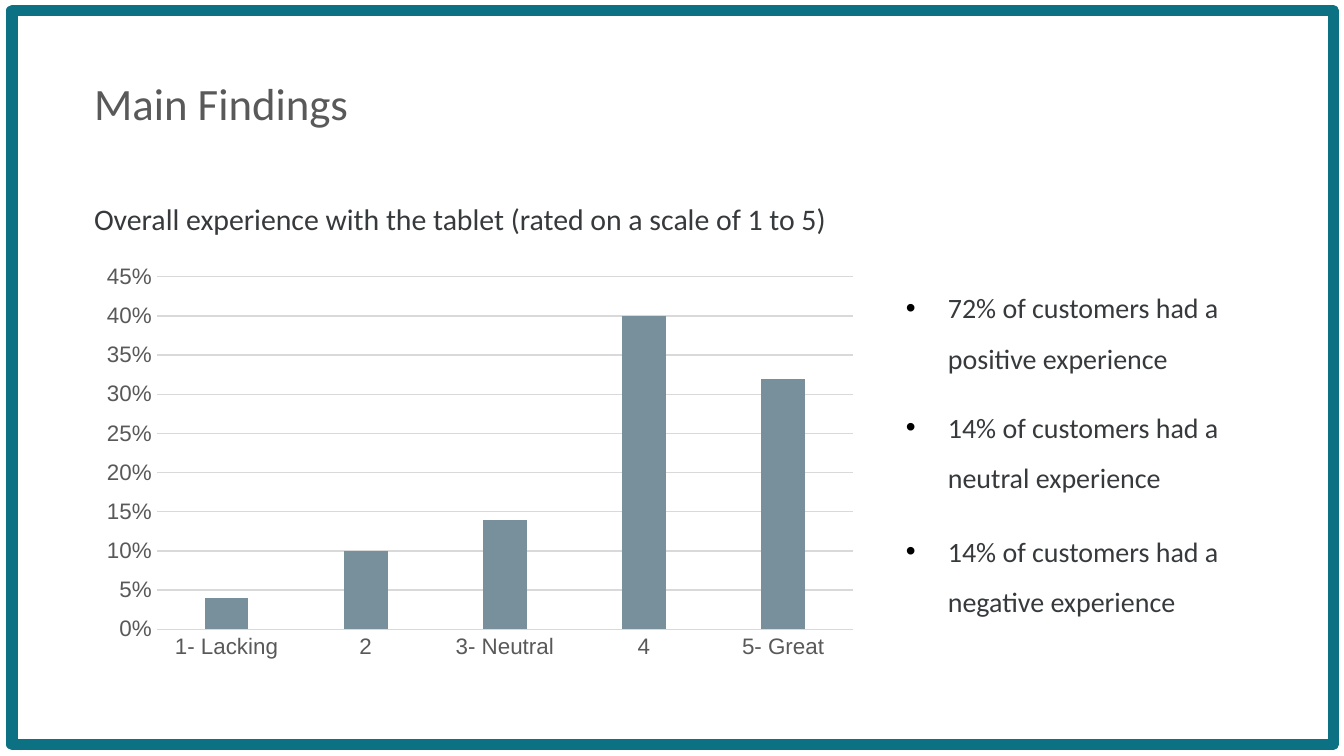
import pptx
import pptx.chart.data
import pptx.dml.color
import pptx.enum.chart
import pptx.enum.shapes
import pptx.enum.text
import pptx.oxml
import pptx.oxml.ns
import pptx.util

Pt = pptx.util.Pt
INK, GREY, GRID, BAR, TEAL = "373A3C", "595959", "D9D9D9", "78909C", "0C7182"
RATINGS = {"1- Lacking": 0.04, "2": 0.1, "3- Neutral": 0.14, "4": 0.4, "5- Great": 0.32}
# Placeholder index, top, wording
FINDINGS = [
    (2, 143.28, "72% of customers had a positive experience"),
    (3, 207.36, "14% of customers had a neutral experience"),
    (4, 273.6, "14% of customers had a negative experience"),
]


def colour(value):
    return pptx.dml.color.RGBColor.from_string(value)


def apply(target, values):
    for name, value in values.items():
        setattr(target, name, value)


def place(shape, left, top, width, height):
    apply(shape, {"left": Pt(left), "top": Pt(top), "width": Pt(width), "height": Pt(height)})


def style_font(font, name, size, ink):
    apply(font, {"name": name, "size": Pt(size), "bold": False})
    font.color.rgb = colour(ink)


def style_line(line, ink, width):
    line.color.rgb = colour(ink)
    line.width = Pt(width)


def fill_text(box, text, area, size, ink, spacing=1.0, inset=(7.2, 3.6)):
    place(box, *area)
    frame = box.text_frame
    side, end = map(Pt, inset)
    apply(frame, {
        "word_wrap": True,
        "auto_size": pptx.enum.text.MSO_AUTO_SIZE.NONE,
        "vertical_anchor": pptx.enum.text.MSO_ANCHOR.TOP,
        "margin_left": side, "margin_right": side,
        "margin_top": end, "margin_bottom": end,
    })
    para = frame.paragraphs[0]
    apply(para, {
        "alignment": pptx.enum.text.PP_ALIGN.LEFT, "line_spacing": spacing,
        "space_before": Pt(0), "space_after": Pt(0),
    })
    span = para.add_run()
    span.text = text
    style_font(span.font, "Calibri", size, ink)
    return para


def add_bullet(para, indent):
    properties = para._p.get_or_add_pPr()
    properties.set("marL", str(Pt(indent)))
    properties.set("indent", str(-Pt(indent)))
    namespace = pptx.oxml.ns.nsdecls("a")
    for markup in (
        f'<a:buClr {namespace}><a:srgbClr val="000000"/></a:buClr>',
        f'<a:buFont {namespace} typeface="Arial"/>',
        f'<a:buChar {namespace} char="•"/>',
    ):
        properties.append(pptx.oxml.parse_xml(markup))


def add_frame(page):
    frame = page.shapes.add_shape(
        pptx.enum.shapes.MSO_SHAPE.RECTANGLE, Pt(6.48), Pt(5.76), Pt(707.76), Pt(393.12))
    frame.shadow.inherit = False
    frame.fill.background()
    style_line(frame.line, TEAL, 6)


def add_rating_chart(page):
    data = pptx.chart.data.CategoryChartData(number_format="0%")
    data.categories = list(RATINGS)
    data.add_series("Series 1", list(RATINGS.values()))
    chart = page.shapes.add_chart(
        pptx.enum.chart.XL_CHART_TYPE.COLUMN_CLUSTERED,
        Pt(48.96), Pt(137.52), Pt(416.16), Pt(219.6), data).chart
    apply(chart, {"has_legend": False, "has_title": False})
    style_font(chart.font, "Arial", 10, "000000")

    # Columns
    plot = chart.plots[0]
    apply(plot, {"gap_width": 219, "overlap": -27, "vary_by_categories": False})
    bars = plot.series[0].format.fill
    bars.solid()
    bars.fore_color.rgb = colour(BAR)

    # Axes
    for axis in (chart.category_axis, chart.value_axis):
        apply(axis, {
            "major_tick_mark": pptx.enum.chart.XL_TICK_MARK.NONE,
            "minor_tick_mark": pptx.enum.chart.XL_TICK_MARK.NONE,
        })
        style_font(axis.tick_labels.font, "Arial", 12, GREY)
    style_line(chart.category_axis.format.line, GRID, 0.75)
    scale = chart.value_axis
    apply(scale, {"minimum_scale": 0, "maximum_scale": 0.45, "major_unit": 0.05})
    apply(scale.tick_labels, {"number_format": "0%", "number_format_is_linked": False})
    scale.format.line.fill.background()
    style_line(scale.major_gridlines.format.line, GRID, 0.75)


def main():
    deck = pptx.Presentation()
    apply(deck, {"slide_width": Pt(720), "slide_height": Pt(405)})
    page = deck.slides.add_slide(deck.slide_layouts.get_by_name("Comparison"))
    holders = {box.placeholder_format.idx: box for box in page.placeholders}

    # Headings
    fill_text(holders[0], "Main Findings", (43.2, 33.12, 671.04, 62.64), 24, GREY,
              inset=(7.2, 7.2))
    fill_text(holders[1], "Overall experience with the tablet (rated on a scale of 1 to 5)",
              (43.2, 84.96, 416.16, 40.32), 16, INK, spacing=2.0)

    # Findings
    for index, top, text in FINDINGS:
        para = fill_text(holders[index], text, (478.08, top, 223.2, 59.04), 15, INK, spacing=1.5)
        add_bullet(para, 22.5)

    add_rating_chart(page)
    add_frame(page)
    deck.save("out.pptx")


main()
